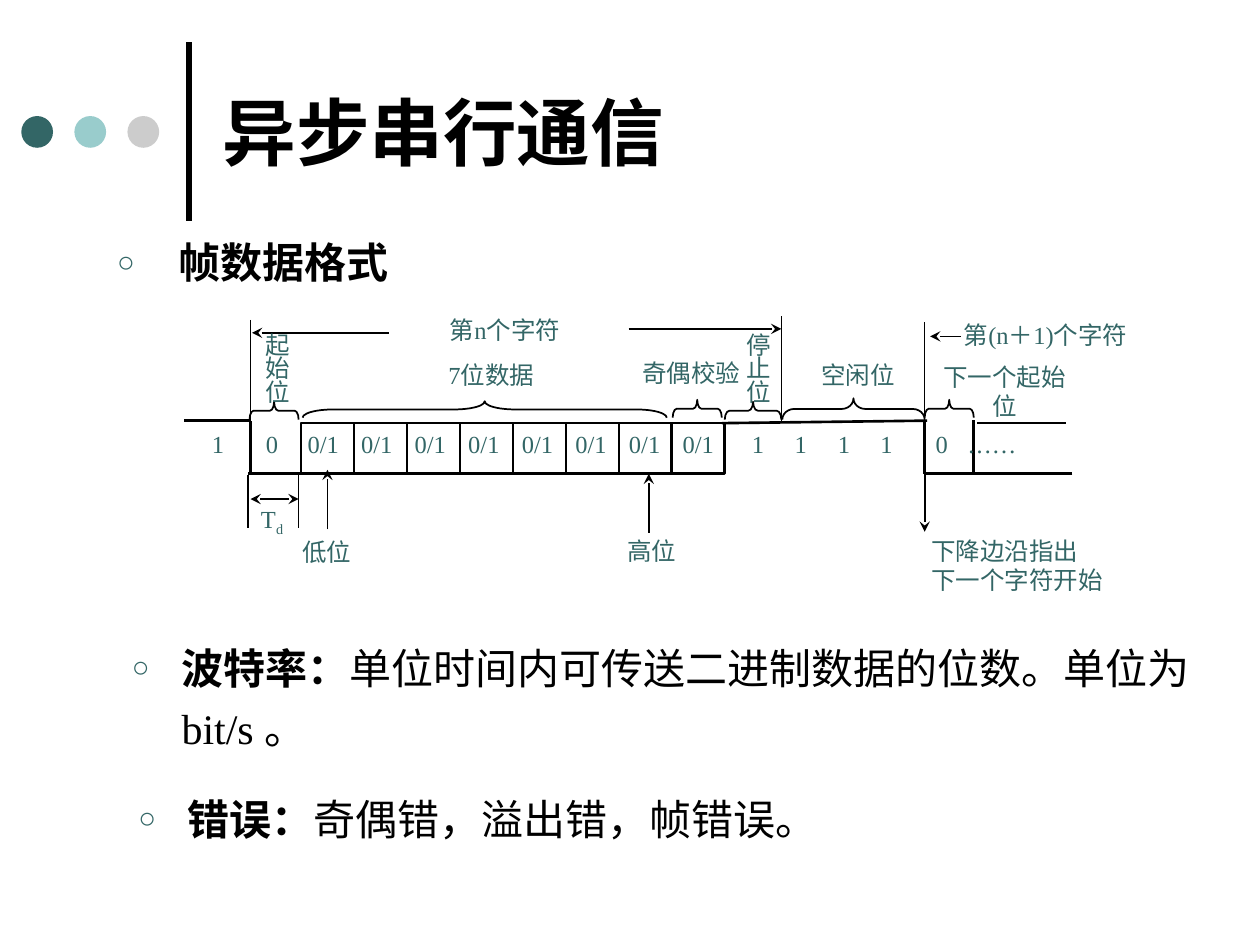
"""Build the slide on asynchronous serial framing."""
import pptx
import pptx.util
import pptx.dml.color
import pptx.enum.shapes
import pptx.enum.text
import pptx.oxml
import pptx.oxml.ns
import lxml.etree

Cm, Pt = pptx.util.Cm, pptx.util.Pt
Shape = pptx.enum.shapes.MSO_SHAPE
Align = pptx.enum.text.PP_ALIGN
qn = pptx.oxml.ns.qn
FONT = "Times New Roman"
COLORS = {"ink": "000000", "teal": "336666", "aqua": "99CCCC", "gray": "CCCCCC"}
LEFT, RIGHT = 6.07, 14.61
TOP, BASE = 8.53, 9.55
STEP = (RIGHT - LEFT) / 8

WAVE = [
    (LEFT, BASE, 5, BASE), (5.05, BASE, 5.05, 8.48), (5.05, 8.48, 3.71, 8.48),
    (18.69, 8.48, 14.55, TOP), (21.49, TOP, 19.69, TOP), (19.63, BASE, 19.63, 8.46),
    (18.64, BASE, 18.64, 8.48), (21.62, BASE, 18.62, BASE),
]
GUIDES = [
    (15.75, 6.38, 15.75, TOP), (18.64, 6.5, 18.64, 8.48), (5.05, 6.45, 5.05, 8.46),
    (5, 9.58, 5, 10.64), (6.02, 9.58, 6.02, 10.64),
]
SPANS = [
    (12.67, 6.63, 15.75, 6.63, ["tail"]), (18.75, 6.78, 19.38, 6.78, ["head"]),
    (5.08, 6.71, 7.85, 6.71, ["head"]), (5.05, 10.06, 6.02, 10.06, ["head", "tail"]),
]
MARKS = [
    (18.64, BASE, 18.64, 10.72), (13.08, 10.74, 13.08, BASE), (6.6, 10.67, 6.6, 9.47),
]
BRACES = [
    (5.03, 6.02, 8.1, 0.36), (6.1, 13.44, 8.09, 0.33), (13.56, 14.55, 8.06, 0.36),
    (14.61, 15.75, 8.1, 0.36), (15.77, 18.64, 8.03, 0.43), (18.64, 19.63, 8.06, 0.36),
]
NOTES = [
    (9.07, 6.35, 2.9, 0.61, "第n个字符", Align.JUSTIFY),
    (19.43, 6.45, 4.19, 0.61, "第(n＋1)个字符", Align.JUSTIFY),
    (18.77, 10.8, 3.94, 1.57, "下降边沿指出\n下一个字符开始", Align.JUSTIFY),
    (8.33, 7.26, 3.15, 0.69, "7位数据", Align.CENTER),
    (12.88, 7.21, 2.11, 0.69, "奇偶校验", Align.CENTER),
    (16.48, 7.26, 1.63, 0.69, "空闲位", Align.CENTER),
    (18.77, 7.29, 2.97, 0.69, "下一个起始位", Align.CENTER),
    (5.99, 10.82, 1.19, 0.58, "低位", Align.CENTER),
    (12.55, 10.8, 1.19, 0.58, "高位", Align.CENTER),
    (5.36, 8.64, 0.41, 0.76, "0", Align.JUSTIFY),
    (4.27, 8.64, 0.41, 0.76, "1", Align.JUSTIFY),
]


def paint(name):
    return pptx.dml.color.RGBColor.from_string(COLORS[name])


def style(para, size, color, bold=None):
    font = para.font
    font.name, font.size, font.bold = FONT, Pt(size), bold
    font.color.rgb = paint(color)


def add_line(slide, x1, y1, x2, y2, width, ends=()):
    line = slide.shapes.add_connector(
        pptx.enum.shapes.MSO_CONNECTOR.STRAIGHT, Cm(x1), Cm(y1), Cm(x2), Cm(y2))
    line.line.width = Pt(width)
    line.line.color.rgb = paint("ink")
    pen = line.line._get_or_add_ln()
    for end in ends:
        lxml.etree.SubElement(pen, qn(f"a:{end}End"), type="stealth")
    lxml.etree.SubElement(line._element.spPr, qn("a:effectLst"))


def add_form(slide, kind, x, y, w, h, fill=None, width=None):
    form = slide.shapes.add_shape(kind, Cm(x), Cm(y), Cm(w), Cm(h))
    form.shadow.inherit = False
    if fill:
        form.fill.solid()
        form.fill.fore_color.rgb = paint(fill)
    else:
        form.fill.background()
    if width:
        form.line.width = Pt(width)
        form.line.color.rgb = paint("ink")
    else:
        form.line.fill.background()
    return form


def add_brace(slide, start, end, top, thick):
    span = end - start
    x = (start + end - thick) / 2
    y = top + (thick - span) / 2
    brace = add_form(slide, Shape.LEFT_BRACE, x, y, thick, span, width=1)
    brace.rotation = 90
    brace.adjustments[0] = span / thick / 12


def add_box(slide, x, y, w, h):
    frame = slide.shapes.add_textbox(Cm(x), Cm(y), Cm(w), Cm(h)).text_frame
    frame.word_wrap = True
    return frame


def add_note(slide, x, y, w, h, text, align=Align.CENTER, space=None, tabs=()):
    frame = add_box(slide, x, y, w, h)
    frame.margin_left = frame.margin_right = frame.margin_top = frame.margin_bottom = 0
    frame.text = text
    for para in frame.paragraphs:
        para.alignment = align
        para.line_spacing = space
        if tabs:
            stops = lxml.etree.SubElement(para._p.get_or_add_pPr(), qn("a:tabLst"))
            for stop in tabs:
                lxml.etree.SubElement(stops, qn("a:tab"), pos=str(Cm(stop)), algn="l")
        style(para, 14, "teal")
    return frame


def add_point(slide, x, y, w, h, indent, head, body=""):
    para = add_box(slide, x, y, w, h).paragraphs[0]
    para.line_spacing = 1.2
    props = para._p.get_or_add_pPr()
    props.set("marL", str(Cm(indent)))
    props.set("indent", str(-Cm(indent)))
    tint = lxml.etree.SubElement(props, qn("a:buClr"))
    lxml.etree.SubElement(tint, qn("a:srgbClr"), val=COLORS["teal"])
    lxml.etree.SubElement(props, qn("a:buSzPct"), val="70000")
    lxml.etree.SubElement(props, qn("a:buFont"), typeface=FONT)
    lxml.etree.SubElement(props, qn("a:buChar"), char="○")
    style(para, 24, "ink")
    run = para.add_run()
    run.text = head
    run.font.bold = True
    if body:
        para.add_run().text = body


def add_title(slide, text):
    title = slide.shapes.title
    title.left, title.top, title.width, title.height = Cm(4.24), Cm(0.53), Cm(21.16), Cm(4.24)
    frame = title.text_frame
    frame.text = text
    frame.vertical_anchor = pptx.enum.text.MSO_ANCHOR.MIDDLE
    para = frame.paragraphs[0]
    para.alignment = Align.LEFT
    style(para, 42, "ink", True)


def add_frame(slide):
    add_form(slide, Shape.RECTANGLE, LEFT, TOP, RIGHT - LEFT, BASE - TOP, width=1.5)
    for i in range(1, 8):
        add_line(slide, LEFT + i * STEP, TOP, LEFT + i * STEP, BASE, 1.5)
    for line in WAVE:
        add_line(slide, *line, 1.5)
    for line in GUIDES:
        add_line(slide, *line, 0.75)
    for *line, ends in SPANS:
        add_line(slide, *line, 0.75, ends)
    for line in MARKS:
        add_line(slide, *line, 1, ["tail"])
    for brace in BRACES:
        add_brace(slide, *brace)


def add_notes(slide):
    for note in NOTES:
        add_note(slide, *note)
    for i in range(8):
        add_note(slide, 6.2 + 1.08 * i, 8.64, 0.66, 0.76, "0/1", Align.JUSTIFY)
    add_note(slide, 14.78, 8.64, 6.81, 0.79, "\t1\t1\t1\t1\t0\t……", Align.LEFT,
             tabs=(0.38, 1.24, 2.11, 2.97, 4.08, 4.72))
    add_note(slide, 5.23, 6.76, 0.76, 1.37, "起\n始\n位", space=0.8)
    add_note(slide, 14.99, 6.76, 0.61, 1.32, "停\n止\n位", space=0.8)
    para = add_note(slide, 5.13, 10.16, 0.71, 0.61, "T").paragraphs[0]
    sub = para.add_run()
    sub.text = "d"
    sub._r.get_or_add_rPr().set("baseline", "-25000")


def main():
    deck = pptx.Presentation()
    deck.slide_width, deck.slide_height = Cm(25.4), Cm(19.05)
    slide = deck.slides.add_slide(deck.slide_layouts[5])
    add_line(slide, 3.81, 4.45, 3.81, 0.84, 3)
    for i, color in enumerate(("teal", "aqua", "gray")):
        add_form(slide, Shape.OVAL, 0.43 + 1.07 * i, 2.34, 0.64, 0.64, color)
    add_title(slide, "异步串行通信")
    add_point(slide, 2.11, 4.45, 19.48, 1.73, 1.24, "帧数据格式")
    add_frame(slide)
    add_notes(slide)
    add_point(slide, 2.41, 12.62, 22.15, 3.68, 1, "波特率：",
              "单位时间内可传送二进制数据的位数。单位为bit/s 。")
    add_point(slide, 2.54, 15.67, 22.15, 1.91, 1, "错误：", "奇偶错，溢出错，帧错误。")
    deck.save("out.pptx")


if __name__ == "__main__":
    main()
